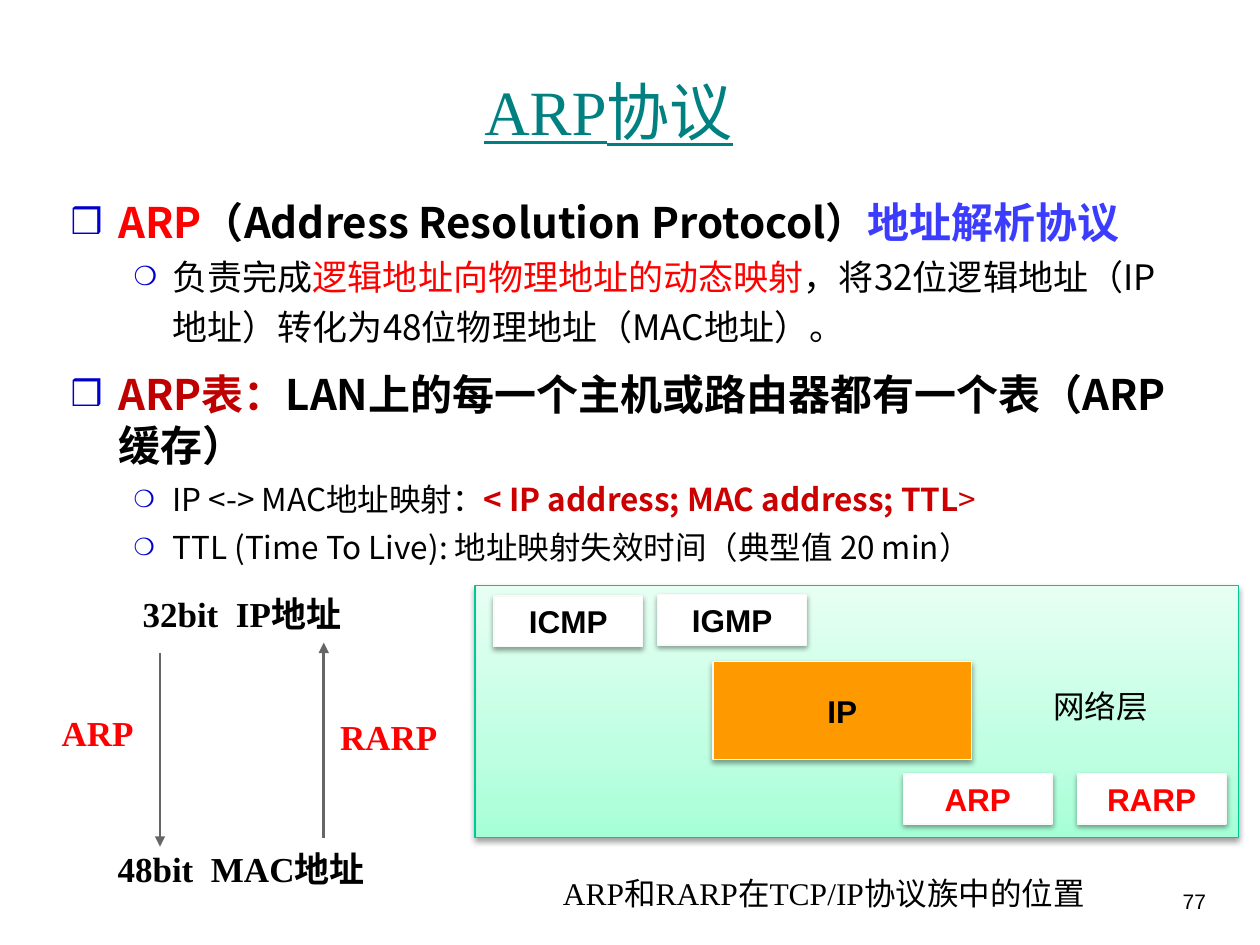
import copy
import pptx
import pptx.util
import pptx.dml.color
import pptx.enum.shapes
import pptx.enum.text
import pptx.oxml
import pptx.oxml.ns

PX = 9144  # 100 px to the inch
RGB = pptx.dml.color.RGBColor
BLACK = RGB(0x00, 0x00, 0x00)
WHITE = RGB(0xFF, 0xFF, 0xFF)
RED = RGB(0xFF, 0x00, 0x00)
DARK = RGB(0xC0, 0x00, 0x00)
CRIMSON = RGB(0xCC, 0x00, 0x00)
BLUE = RGB(0x3C, 0x3C, 0xFF)
TEAL = RGB(0x00, 0x80, 0x80)
ORANGE = RGB(0xFF, 0x99, 0x00)
GREEN = RGB(0x00, 0xC8, 0x96)
PALE = RGB(0xF9, 0xF9, 0xF9)
GREY = RGB(0x66, 0x66, 0x66)
MINT = [(0, RGB(0xA5, 0xFF, 0xD6)), (0.35, RGB(0xBF, 0xFF, 0xE2)),
        (1, RGB(0xE7, 0xFF, 0xF3))]
NOTO, TIMES, ARIAL = "Noto Sans CJK SC", "Times New Roman", "Arial"
NS = 'xmlns:a="http://schemas.openxmlformats.org/drawingml/2006/main"'
ALIGN = pptx.enum.text.PP_ALIGN
ANCHOR = pptx.enum.text.MSO_ANCHOR
KIND = pptx.enum.shapes


def write(para, text, size=18, color=BLACK, font=ARIAL, bold=False,
          under=False, align=None):
    run = para.add_run()
    run.text = text
    face = run.font
    face.size, face.name = pptx.util.Pt(size), font
    face.bold, face.underline = bold, under
    face.color.rgb = color
    # Chinese glyphs take their own font slot
    east = pptx.oxml.parse_xml(f'<a:ea {NS} typeface="{NOTO}"/>')
    face._element.append(east)
    if align is not None:
        para.alignment = align


def panel(x, y, w, h, edge):
    box = slide.shapes.add_shape(KIND.MSO_SHAPE.RECTANGLE,
                                 x * PX, y * PX, w * PX, h * PX)
    box.line.color.rgb = edge
    box.line.width = pptx.util.Pt(0.75)
    box.shadow.inherit = False
    glow = box._element.spPr.find(pptx.oxml.ns.qn("a:effectLst"))
    glow.append(pptx.oxml.parse_xml(
        f'<a:outerShdw {NS} blurRad="40000" dist="20000" dir="5400000" '
        'rotWithShape="0"><a:srgbClr val="000000"><a:alpha val="38000"/>'
        '</a:srgbClr></a:outerShdw>'))
    return box


deck = pptx.Presentation()
deck.slide_width, deck.slide_height = 1000 * PX, 750 * PX
slide = deck.slides.add_slide(deck.slide_layouts[1])

# Title and body places
title, body = slide.shapes.title, slide.placeholders[1]
for holder, spot, anchor in [(title, (58, 25, 850, 125), ANCHOR.MIDDLE),
                             (body, (46, 143, 903, 320), ANCHOR.TOP)]:
    holder.left, holder.top, holder.width, holder.height = [n * PX for n in spot]
    holder.text_frame.auto_size = pptx.enum.text.MSO_AUTO_SIZE.NONE
    holder.text_frame.vertical_anchor = anchor
write(title.text_frame.paragraphs[0], "ARP协议", size=36, color=TEAL,
      font=TIMES, under=True, align=ALIGN.CENTER)

# Body list: level, line spacing, space before, size, runs (text, colour, bold)
items = [
    (0, 1.2, 0, 24, [("ARP", RED, True),
                     ("（Address Resolution Protocol）", BLACK, True),
                     ("地址解析协议", BLUE, True)]),
    (1, 1.2, 0, 20, [("负责完成", BLACK, False),
                     ("逻辑地址向物理地址的动态映射", RED, False),
                     ("，将32位逻辑地址（IP地址）转化为48位物理地址（MAC地址）。",
                      BLACK, False)]),
    (0, 1.0, 12, 24, [("ARP表：", DARK, True),
                      ("LAN上的每一个主机或路由器都有一个表（ARP缓存）",
                       BLACK, True)]),
    (1, 1.0, 6, 18, [("IP <-> MAC地址映射：", BLACK, False),
                     ("< IP address; MAC address; TTL", CRIMSON, True),
                     (">", CRIMSON, False)]),
    (1, 1.0, 6, 18, [("TTL (Time To Live): 地址映射失效时间（典型值 20 min）",
                      BLACK, False)]),
]
marks = [("❒", 85, 38, 38), ("❍", 75, 81, 31)]
for i, (level, gap, before, size, runs) in enumerate(items):
    para = body.text_frame.paragraphs[0] if i == 0 else body.text_frame.add_paragraph()
    mark, scale, left, hang = marks[level]
    props = para._p.get_or_add_pPr()
    props.set("marL", str(left * PX))
    props.set("indent", str(-hang * PX))
    for xml in (f'<a:buClr {NS}><a:srgbClr val="0000CC"/></a:buClr>',
                f'<a:buSzPct {NS} val="{scale * 1000}"/>',
                f'<a:buChar {NS} char="{mark}"/>'):
        props.append(pptx.oxml.parse_xml(xml))
    para.level = level
    para.line_spacing = gap
    para.space_before = pptx.util.Pt(before)
    for text, color, bold in runs:
        write(para, text, size=size, color=color, font=NOTO, bold=bold)

# Network layer panel
layer = panel(377, 465, 606, 200, GREEN)
layer.fill.gradient()
layer.fill.gradient_angle = 90
stops = layer.fill._fill._gradFill.gsLst
stops.insert(1, copy.deepcopy(stops[0]))
for stop, (place, color) in zip(layer.fill.gradient_stops, MINT):
    stop.position, stop.color.rgb = place, color

# Protocol boxes
for text, x, y, w, h, fill, color in [
        ("ICMP", 392, 473, 118, 40, WHITE, BLACK),
        ("IGMP", 522, 472, 118, 40, WHITE, BLACK),
        ("RARP", 855, 614, 118, 40, WHITE, RED),
        ("ARP", 717, 614, 118, 40, WHITE, RED),
        ("IP", 566, 525, 205, 78, ORANGE, BLACK)]:
    box = panel(x, y, w, h, PALE)
    box.fill.solid()
    box.fill.fore_color.rgb = fill
    box.text_frame.word_wrap = False
    box.text_frame.vertical_anchor = ANCHOR.MIDDLE
    write(box.text_frame.paragraphs[0], text, color=color, bold=True,
          align=ALIGN.CENTER)

# Captions, mapping labels and page number
label = dict(size=20, font=TIMES, bold=True, align=ALIGN.CENTER)
for text, x, y, w, h, first, form in [
        ("ARP和RARP在TCP/IP协议族中的位置", 430, 689, 460, 40, 7, dict(font=TIMES)),
        ("网络层", 820, 540, 107, 40, 6, dict(font=NOTO)),
        ("ARP", 35, 560, 85, 44, 0, dict(label, color=RED)),
        ("48bit  MAC地址", 80, 668, 223, 44, 0, label),
        ("32bit  IP地址", 99, 465, 186, 44, 0, label),
        ("RARP", 257, 563, 103, 44, 0, dict(label, color=RED)),
        ("77", 893, 700, 74, 50, 0, dict(size=12, align=ALIGN.RIGHT))]:
    note = slide.shapes.add_textbox(x * PX, y * PX, w * PX, h * PX)
    note.text_frame.word_wrap = True
    para = note.text_frame.paragraphs[0]
    para._p.get_or_add_pPr().set("indent", str(first * PX))
    write(para, text, **form)

# Mapping arrows
for x, start, end in [(127, 518, 672), (257, 665, 510)]:
    arrow = slide.shapes.add_connector(KIND.MSO_CONNECTOR.STRAIGHT,
                                       x * PX, start * PX, x * PX, end * PX)
    arrow.line.color.rgb = GREY
    arrow.line.width = pptx.util.Pt(1.5)
    arrow.line._get_or_add_ln().append(
        pptx.oxml.parse_xml(f'<a:tailEnd {NS} type="triangle"/>'))
    arrow._element.spPr.append(pptx.oxml.parse_xml(f'<a:effectLst {NS}/>'))

deck.save("out.pptx")
